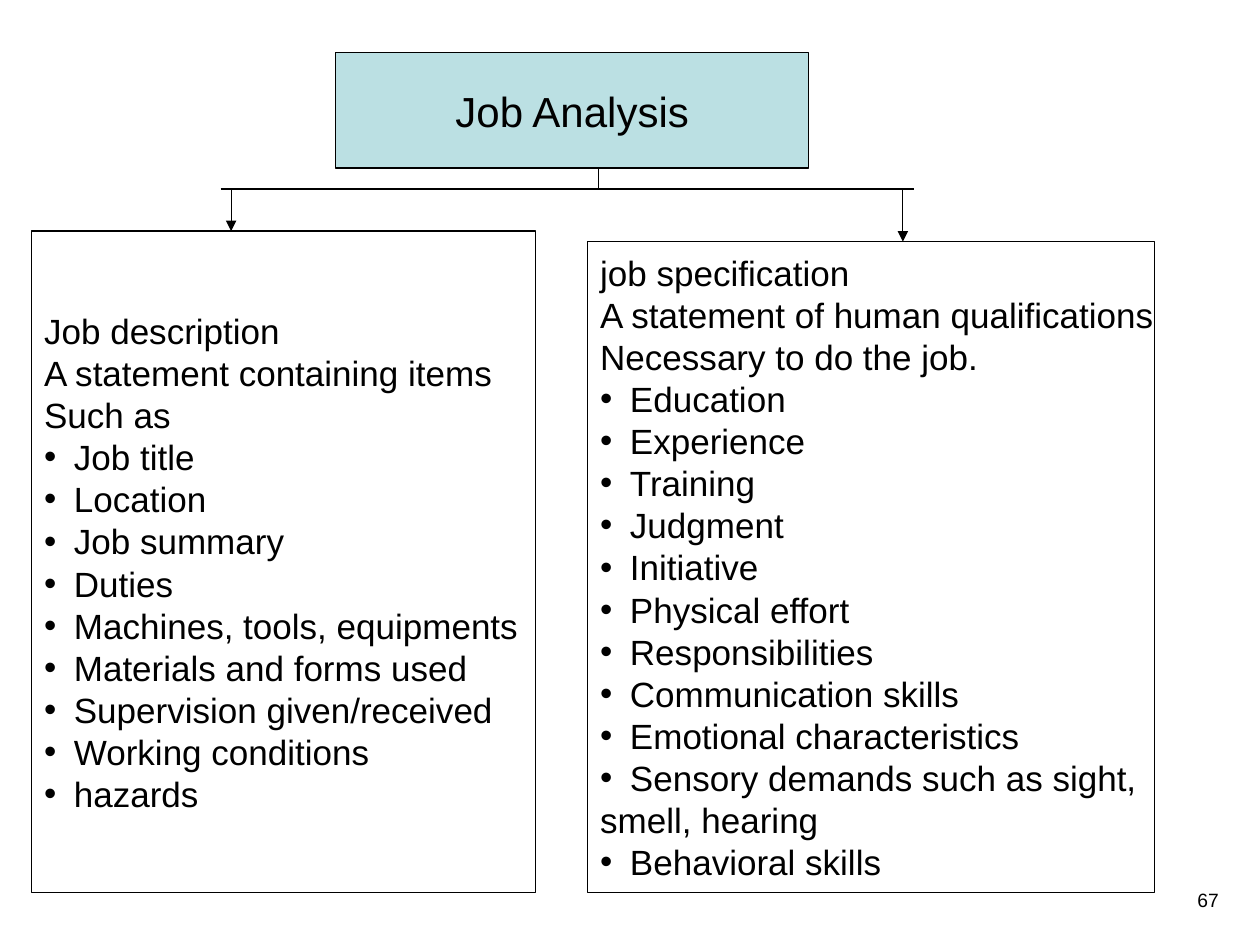
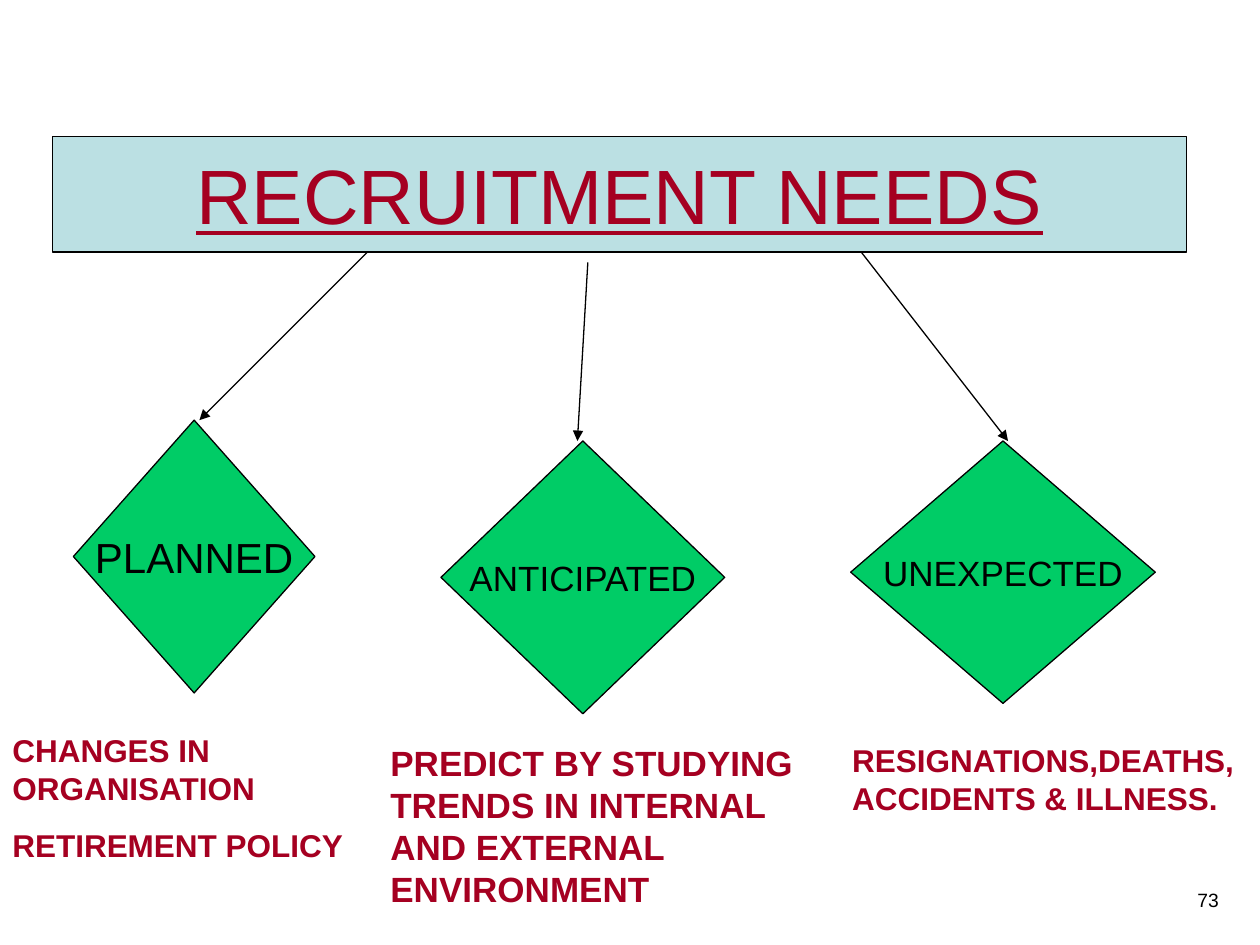
from dataclasses import dataclass

from lxml.etree import SubElement
from pptx import Presentation
from pptx.dml.color import RGBColor
from pptx.enum.shapes import MSO_CONNECTOR, MSO_SHAPE
from pptx.enum.text import MSO_ANCHOR, PP_ALIGN
from pptx.oxml.ns import qn
from pptx.slide import Slide
from pptx.text.text import TextFrame
from pptx.util import Cm, Pt

BLACK = RGBColor(0x00, 0x00, 0x00)
PALE_TEAL = RGBColor(0xBB, 0xE0, 0xE3)
GREEN = RGBColor(0x00, 0xCC, 0x66)
CRIMSON = RGBColor(0xA5, 0x00, 0x21)
FONT = "Arial"
BULLET = "• "
BULLET_INDENT = Cm(0.6)
LINE_WIDTH = Pt(0.75)


@dataclass(frozen=True)
class Area:
    """Position and size in centimetres."""

    left: float
    top: float
    width: float
    height: float

    def lengths(self) -> tuple[Cm, Cm, Cm, Cm]:
        """Return the four lengths in drawing order."""
        return Cm(self.left), Cm(self.top), Cm(self.width), Cm(self.height)


@dataclass(frozen=True)
class TextStyle:
    """Look of the paragraphs in one text frame."""

    size: float
    color: RGBColor = BLACK
    bold: bool = False
    underline: bool = False
    align: PP_ALIGN = PP_ALIGN.LEFT
    gap: float = 0


@dataclass(frozen=True)
class Panel:
    """Outlined shape with text; without a fill it stays transparent."""

    area: Area
    lines: tuple[str, ...]
    style: TextStyle
    fill: RGBColor | None = None
    outline: MSO_SHAPE = MSO_SHAPE.RECTANGLE


@dataclass(frozen=True)
class Caption:
    """Free text that wraps inside its area."""

    area: Area
    lines: tuple[str, ...]
    style: TextStyle


@dataclass(frozen=True)
class Link:
    """Straight line between two points in centimetres."""

    start: tuple[float, float]
    end: tuple[float, float]
    arrow: bool = True


PAGE_NUMBER_AREA = Area(18.9, 17.78, 5.92, 1.32)
PAGE_NUMBER_STYLE = TextStyle(11, align=PP_ALIGN.RIGHT)
LIST_STYLE = TextStyle(20)
HEADING_STYLE = TextStyle(24, align=PP_ALIGN.CENTER)
LABEL_STYLE = TextStyle(20, align=PP_ALIGN.CENTER)
TITLE_STYLE = TextStyle(44, CRIMSON, underline=True, align=PP_ALIGN.CENTER)
CAUSE_STYLE = TextStyle(18, CRIMSON, bold=True, gap=11.2)
TREND_STYLE = TextStyle(20, CRIMSON, bold=True)

JOB_PANELS = (
    Panel(Area(6.77, 1.06, 9.53, 2.33), ("Job Analysis",), HEADING_STYLE, PALE_TEAL),
    Panel(
        Area(0.64, 4.66, 10.16, 13.34),
        (
            "Job description",
            "A statement containing items",
            "Such as",
            "• Job title",
            "• Location",
            "• Job summary",
            "• Duties",
            "• Machines, tools, equipments",
            "• Materials and forms used",
            "• Supervision given/received",
            "• Working conditions",
            "• hazards",
        ),
        LIST_STYLE,
    ),
    Panel(
        Area(11.85, 4.87, 11.43, 13.12),
        (
            "job specification",
            "A statement of human qualifications",
            "Necessary to do the job.",
            "• Education",
            "• Experience",
            "• Training",
            "• Judgment",
            "• Initiative",
            "• Physical effort",
            "• Responsibilities",
            "• Communication skills",
            "• Emotional characteristics",
            "• Sensory demands such as sight,",
            "smell, hearing",
            "• Behavioral skills",
        ),
        LIST_STYLE,
    ),
)
JOB_LINKS = (
    Link((4.45, 3.81), (18.42, 3.81), arrow=False),
    Link((12.07, 3.39), (12.07, 3.81), arrow=False),
    Link((4.66, 3.81), (4.66, 4.66)),
    Link((18.2, 3.81), (18.2, 4.87)),
)

DECISION = MSO_SHAPE.FLOWCHART_DECISION
NEED_PANELS = (
    Panel(Area(1.06, 2.75, 22.86, 2.33), ("RECRUITMENT NEEDS",), TITLE_STYLE, PALE_TEAL),
    Panel(Area(1.48, 8.47, 4.87, 5.5), ("PLANNED",), HEADING_STYLE, GREEN, DECISION),
    Panel(Area(8.89, 8.89, 5.72, 5.5), ("ANTICIPATED",), LABEL_STYLE, GREEN, DECISION),
    Panel(Area(17.15, 8.89, 6.14, 5.29), ("UNEXPECTED",), LABEL_STYLE, GREEN, DECISION),
)
NEED_LINKS = (
    Link((7.41, 5.08), (4.02, 8.47)),
    Link((11.85, 5.29), (11.64, 8.89)),
    Link((17.36, 5.08), (20.32, 8.89)),
)
NEED_CAPTIONS = (
    Caption(
        Area(0, 14.61, 8.04, 2.95),
        ("CHANGES IN ORGANISATION", "RETIREMENT POLICY"),
        CAUSE_STYLE,
    ),
    Caption(
        Area(7.62, 14.82, 8.89, 3.66),
        ("PREDICT BY STUDYING TRENDS IN INTERNAL AND EXTERNAL ENVIRONMENT",),
        TREND_STYLE,
    ),
    Caption(
        Area(16.93, 14.82, 8.47, 1.78),
        ("RESIGNATIONS,DEATHS,ACCIDENTS & ILLNESS.",),
        CAUSE_STYLE,
    ),
)


def write_lines(frame: TextFrame, lines: tuple[str, ...], style: TextStyle) -> None:
    """Write one paragraph per line, with a hanging bullet where marked."""
    for index, line in enumerate(lines):
        paragraph = frame.add_paragraph() if index else frame.paragraphs[0]
        paragraph.text = line.removeprefix(BULLET)
        paragraph.alignment = style.align
        if index and style.gap:
            paragraph.space_before = Pt(style.gap)
        if line.startswith(BULLET):
            properties = paragraph._p.get_or_add_pPr()
            properties.set("marL", str(BULLET_INDENT))
            properties.set("indent", str(-BULLET_INDENT))
            SubElement(properties, qn("a:buFont"), typeface=FONT)
            SubElement(properties, qn("a:buChar"), char=BULLET.strip())
        font = paragraph.font
        font.name = FONT
        font.size = Pt(style.size)
        font.bold = style.bold
        font.underline = style.underline
        font.color.rgb = style.color


def draw_panel(slide: Slide, panel: Panel) -> None:
    """Draw an outlined shape with vertically centred text."""
    shape = slide.shapes.add_shape(panel.outline, *panel.area.lengths())
    shape.shadow.inherit = False
    if panel.fill is None:
        shape.fill.background()
    else:
        shape.fill.solid()
        shape.fill.fore_color.rgb = panel.fill
    shape.line.color.rgb = BLACK
    shape.line.width = LINE_WIDTH
    frame = shape.text_frame
    frame.word_wrap = False
    frame.vertical_anchor = MSO_ANCHOR.MIDDLE
    write_lines(frame, panel.lines, panel.style)


def draw_caption(slide: Slide, caption: Caption) -> None:
    """Draw a wrapping text box."""
    frame = slide.shapes.add_textbox(*caption.area.lengths()).text_frame
    frame.word_wrap = True
    write_lines(frame, caption.lines, caption.style)


def draw_link(slide: Slide, link: Link) -> None:
    """Draw a thin black line, ending in a triangle if it is an arrow."""
    points = (Cm(value) for value in (*link.start, *link.end))
    connector = slide.shapes.add_connector(MSO_CONNECTOR.STRAIGHT, *points)
    connector.line.color.rgb = BLACK
    connector.line.width = LINE_WIDTH
    if link.arrow:
        SubElement(connector.line._get_or_add_ln(), qn("a:tailEnd"), type="triangle")
    SubElement(connector._element.spPr, qn("a:effectLst"))


def add_diagram(
    deck: Presentation,
    page_number: int,
    panels: tuple[Panel, ...],
    links: tuple[Link, ...],
    captions: tuple[Caption, ...] = (),
) -> None:
    """Add a numbered slide with its panels, links and captions."""
    slide = deck.slides.add_slide(deck.slide_layouts[6])
    draw_caption(slide, Caption(PAGE_NUMBER_AREA, (str(page_number),), PAGE_NUMBER_STYLE))
    for panel in panels:
        draw_panel(slide, panel)
    for link in links:
        draw_link(slide, link)
    for caption in captions:
        draw_caption(slide, caption)


def main() -> None:
    """Build and save the two slides."""
    deck = Presentation()
    deck.slide_width = Cm(25.4)
    deck.slide_height = Cm(19.05)
    add_diagram(deck, 67, JOB_PANELS, JOB_LINKS)
    add_diagram(deck, 73, NEED_PANELS, NEED_LINKS, NEED_CAPTIONS)
    deck.save("out.pptx")


if __name__ == "__main__":
    main()
